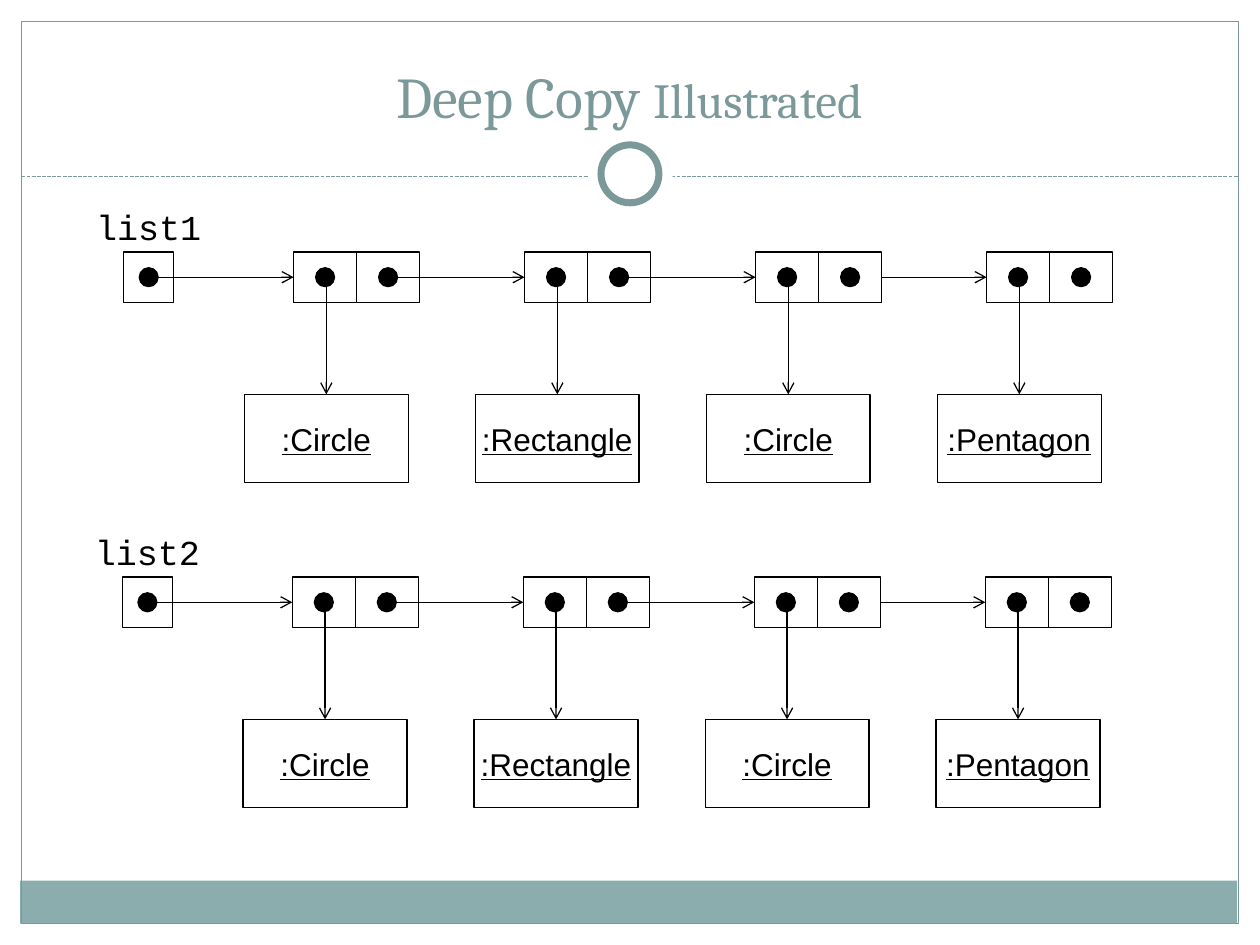
from lxml import etree
from pptx import Presentation
from pptx.dml.color import RGBColor
from pptx.enum.dml import MSO_LINE_DASH_STYLE as Dash
from pptx.enum.shapes import MSO_CONNECTOR as Conn, MSO_SHAPE as Kind
from pptx.enum.text import MSO_ANCHOR as Anchor, PP_ALIGN as Align
from pptx.oxml.ns import qn
from pptx.util import Inches, Pt

TEAL, BAND, BLACK, WHITE = "7C999A", "8CADAE", "000000", "FFFFFF"
NAMES = [":Circle", ":Rectangle", ":Circle", ":Pentagon"]
STEP = 5.5 / 3  # from one node to the next
SIDE = 0.4  # height of a node
DOT = 0.15


def color(code):
    return RGBColor.from_string(code)


def add_box(shapes, kind, x, y, w, h, fill=None, line=None, width=0.75):
    box = shapes.add_shape(kind, Inches(x), Inches(y), Inches(w), Inches(h))
    box.shadow.inherit = False
    if fill:
        box.fill.solid()
        box.fill.fore_color.rgb = color(fill)
    else:
        box.fill.background()
    if line:
        box.line.color.rgb = color(line)
        box.line.width = Pt(width)
    else:
        box.line.fill.background()
    return box


def add_line(shapes, x1, y1, x2, y2, code=BLACK, arrow=False):
    line = shapes.add_connector(
        Conn.STRAIGHT, Inches(x1), Inches(y1), Inches(x2), Inches(y2))
    line.line.color.rgb = color(code)
    line.line.width = Pt(0.75)
    props = line._element.spPr
    if arrow:
        etree.SubElement(props.find(qn("a:ln")), qn("a:tailEnd"), type="arrow")
    etree.SubElement(props, qn("a:effectLst"))
    return line


def set_text(shape, text, face, size, code=BLACK, wrap=False):
    frame = shape.text_frame
    frame.word_wrap = wrap
    para = frame.paragraphs[0]
    para.alignment = Align.CENTER
    para.add_run().text = text
    para.font.name = face
    para.font.size = Pt(size)
    para.font.color.rgb = color(code)
    return para


def add_label(shapes, text, x, y, w, h, face, size, code=BLACK, wrap=False):
    box = shapes.add_textbox(Inches(x), Inches(y), Inches(w), Inches(h))
    return box, set_text(box, text, face, size, code, wrap)


def add_dot(shapes, x, y):
    """Draw a pointer dot centred on x, y."""
    add_box(shapes, Kind.OVAL, x - DOT / 2, y - DOT / 2, DOT, DOT,
            BLACK, BLACK)


def add_frame(shapes):
    add_box(shapes, Kind.RECTANGLE, 0.16, 6.99, 9.66, 0.34, BAND)
    add_box(shapes, Kind.RECTANGLE, 0.17, 0.17, 9.66, 7.16, line=TEAL)
    rule = add_line(shapes, 0.17, 1.4, 9.83, 1.4, TEAL)
    rule.line.dash_style = Dash.SQUARE_DOT
    add_box(shapes, Kind.OVAL, 4.67, 1.05, 0.67, 0.67, WHITE)
    add_box(shapes, Kind.OVAL, 4.77, 1.15, 0.46, 0.46, WHITE, TEAL, 4)


def add_title(shapes):
    box, para = add_label(shapes, "Deep Copy ", 0.33, 0.25, 9.33, 0.83,
                          "Cambria", 33, TEAL, True)
    box.text_frame.vertical_anchor = Anchor.BOTTOM
    run = para.add_run()
    run.text = "Illustrated"
    run.font.size = Pt(28)


def add_node(shapes, x, y):
    group = shapes.add_group_shape().shapes
    add_box(group, Kind.RECTANGLE, x, y, 1, SIDE, line=BLACK)
    add_line(group, x + 0.5, y, x + 0.5, y + SIDE)
    for shift in (0.75, 0.25):
        add_dot(group, x + shift, y + SIDE / 2)


def add_item(shapes, name, x, y):
    box = add_box(shapes, Kind.RECTANGLE, x, y, 1.3, 0.7, line=BLACK)
    box.text_frame.vertical_anchor = Anchor.MIDDLE
    set_text(box, name, "Arial", 18).font.underline = True


def add_list(shapes, label, x, y):
    """Draw a linked list whose head cell starts at x, y."""
    mid = y + SIDE / 2
    nodes = [x + 1.35 + i * STEP for i in range(len(NAMES))]

    head = shapes.add_group_shape().shapes
    add_box(head, Kind.RECTANGLE, x, y, SIDE, SIDE, line=BLACK)
    add_dot(head, x + SIDE / 2, mid)
    add_label(shapes, label, x - 0.32, y - 0.42, 1.04, 0.44,
              "Courier New", 20)

    for name, left in zip(NAMES, nodes):
        add_item(shapes, name, left - 0.39, y + 1.13)
        add_node(shapes, left, y)
        add_line(shapes, left + 0.26, mid + 0.07, left + 0.26, y + 1.13,
                 arrow=True)

    # The last link leaves from the edge of its node, not from the dot.
    starts = [x + 0.27, nodes[0] + 0.83, nodes[1] + 0.83, nodes[2] + 1]
    for start, end in zip(starts, nodes):
        add_line(shapes, start, mid, end, mid, arrow=True)


def main():
    deck = Presentation()
    deck.slide_width, deck.slide_height = Inches(10), Inches(7.5)
    shapes = deck.slides.add_slide(deck.slide_layouts[6]).shapes
    add_frame(shapes)
    add_title(shapes)
    add_list(shapes, "list1", 0.98, 2)
    add_list(shapes, "list2", 0.97, 4.58)
    deck.save("out.pptx")


if __name__ == "__main__":
    main()
